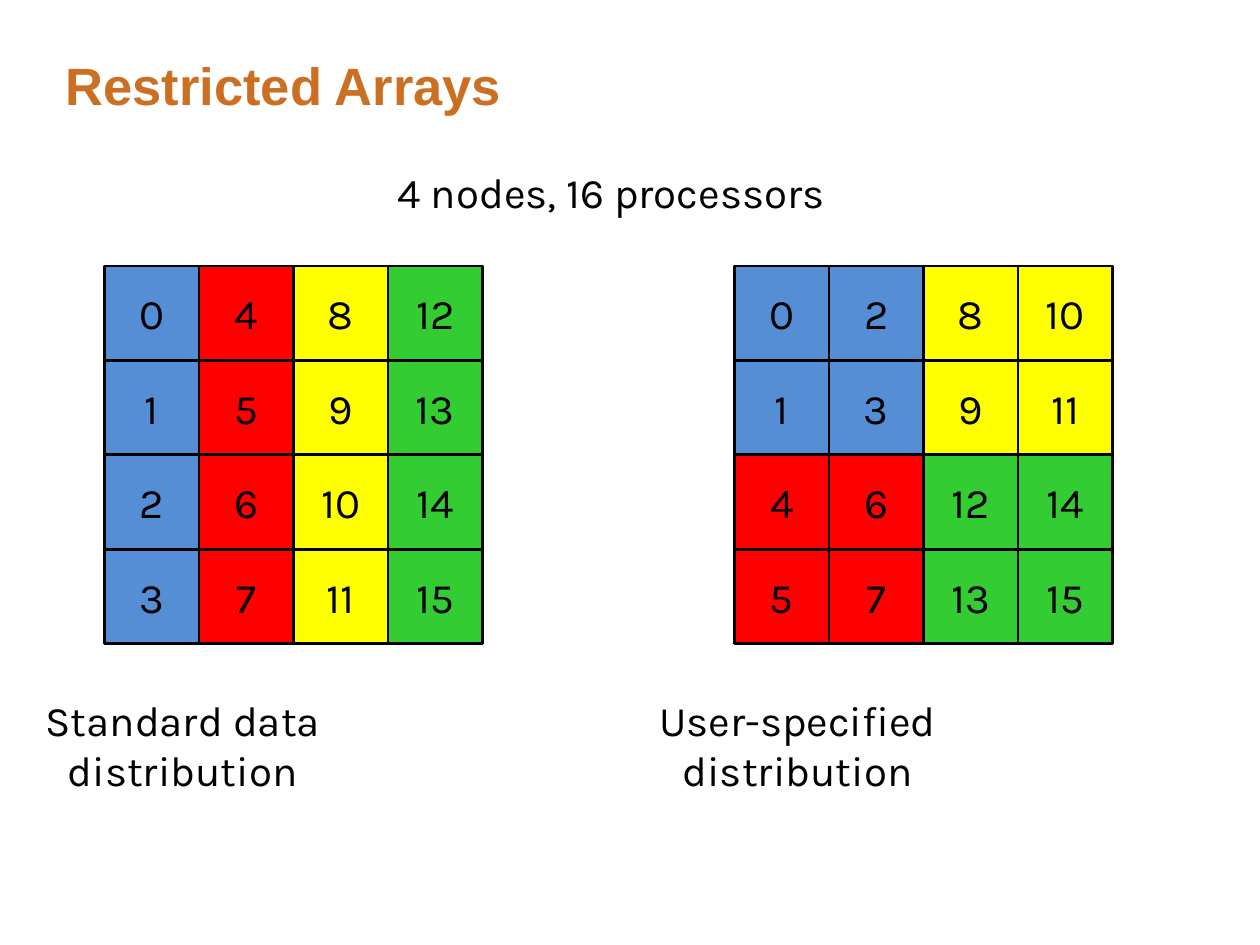
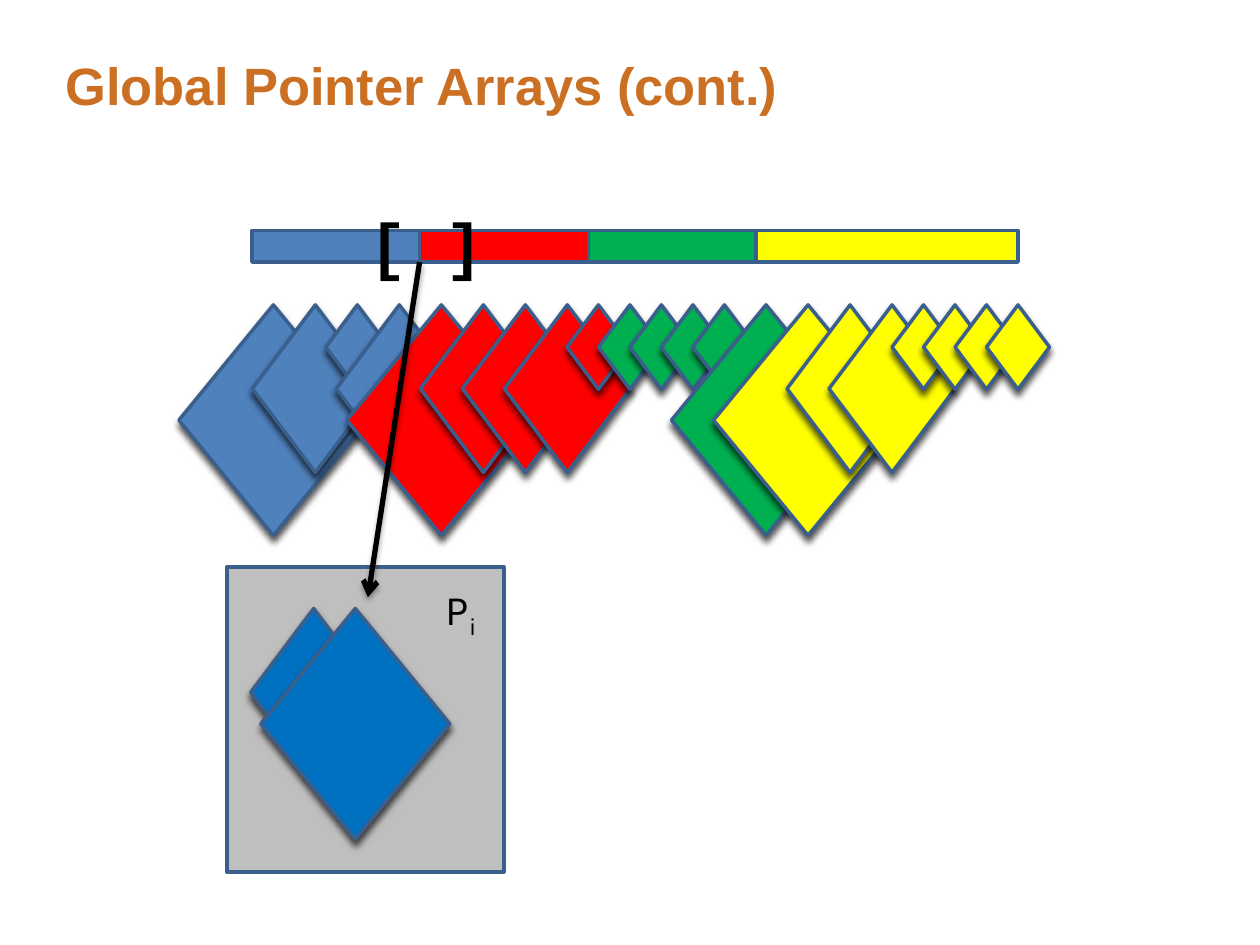
from pptx import Presentation
from pptx.dml.color import RGBColor as RGB
from pptx.enum.shapes import MSO_CONNECTOR as LINK, MSO_SHAPE as FORM
from pptx.enum.text import MSO_ANCHOR as ANCHOR, PP_ALIGN as ALIGN
from pptx.oxml import parse_xml
from pptx.oxml.ns import nsdecls
from pptx.util import Inches, Pt

HUES = {
    "title": "CB7023", "ink": "000000", "edge": "3A5F8C", "panel": "BFBFBF",
    "node0": "558ED5", "node1": "FF0000", "node2": "FFFF00", "node3": "33CC33",
    "B": "4F81BD", "R": "FF0000", "G": "00B050", "Y": "FFFF00", "local": "0070C0",
}
NONE = f'<a:effectLst {nsdecls("a")}/>'
SHADE = (f'<a:outerShdw {nsdecls("a")} blurRad="%d" dist="%d" dir="5400000" '
         'rotWithShape="0"><a:srgbClr val="000000"><a:alpha val="%d"/>'
         '</a:srgbClr></a:outerShdw>')


def write(shape, text, size=24, font="Karla", hue="ink", bold=False,
          align=ALIGN.CENTER, anchor=ANCHOR.TOP, pad=(0.2, 0.15), wrap=False, sub=""):
    frame = shape.text_frame
    frame.word_wrap = wrap
    frame.vertical_anchor = anchor
    frame.margin_left = frame.margin_right = Inches(pad[0])
    frame.margin_top = frame.margin_bottom = Inches(pad[1])
    para = frame.paragraphs[0]
    para.alignment = align
    for part in filter(None, (text, sub)):
        run = para.add_run()
        run.text = part
        run.font.size = Pt(size)
        run.font.name = font
        run.font.bold = bold
        run.font.color.rgb = RGB.from_string(HUES[hue])
    if sub:
        run.font._element.set("baseline", "-25000")
    return para


def draw(slide, form, at, hue, edge="edge", width=2, shade=False):
    shape = slide.shapes.add_shape(form, *map(Inches, at))
    shape.fill.solid()
    shape.fill.fore_color.rgb = RGB.from_string(HUES[hue])
    shape.line.color.rgb = RGB.from_string(HUES[edge])
    shape.line.width = Pt(width)
    shape.shadow.inherit = False
    if shade:
        shape.element.spPr[-1].append(parse_xml(SHADE % (Pt(4), Pt(3), 67000)))
    return shape


deck = Presentation()
deck.slide_width, deck.slide_height = Inches(10), Inches(7.5)
slides = []
for name in ("Restricted Arrays", "Global Pointer Arrays (cont.)"):
    slide = deck.slides.add_slide(deck.slide_layouts[5])
    title = slide.shapes.title
    title.left, title.top, title.width, title.height = map(Inches, (0.52, 0.5, 8.97, 1.08))
    para = write(title, name, size=30, font="Arial", hue="title", bold=True,
                 align=ALIGN.LEFT, pad=(0, 0), wrap=True)
    para.line_spacing = 0.85
    slides.append(slide)
grids, chain = slides

CELL, TOP, COUNT = 0.75, 2.11, 4
SIDE = CELL * COUNT
for left, block in ((0.83, False), (5.83, True)):
    rules = [(left + i * CELL, TOP, left + i * CELL, TOP + SIDE) for i in range(COUNT + 1)]
    rules += [(left, TOP + i * CELL, left + SIDE, TOP + i * CELL) for i in range(COUNT + 1)]
    for ends in rules:
        rule = grids.shapes.add_connector(LINK.STRAIGHT, *map(Inches, ends))
        rule.line.color.rgb = RGB.from_string(HUES["ink"])
        rule.line.width = Pt(1.5)
        rule.element.spPr.append(parse_xml(NONE))
    for col in range(COUNT):
        for row in range(COUNT):
            rank = col * COUNT + row
            if block:
                rank = (col // 2 * 2 + row // 2) * 4 + col % 2 * 2 + row % 2
            at = (left + col * CELL, TOP + row * CELL, CELL, CELL)
            cell = draw(grids, FORM.RECTANGLE, at, f"node{rank // 4}", "ink", 1.5)
            write(cell, str(rank), anchor=ANCHOR.MIDDLE)

for left, text in ((0.17, "Standard data distribution"), (5.05, "User-specified distribution")):
    label = grids.shapes.add_textbox(*map(Inches, (left, 5.36, 2.56, 1.1)))
    write(label, text, pad=(0.1, 0.15), wrap=True)
label = grids.shapes.add_textbox(*map(Inches, (2.95, 1.17, 3.8, 0.7)))
write(label, "4 nodes, 16 processors")

SIZES = {"L": (1.5, 1.83), "M": (1, 1.33), "S": (0.5, 0.67)}
draw(chain, FORM.RECTANGLE, (1.8, 4.5, 2.2, 2.42), "panel")
for start, gap, sizes, hues in (
    (2.17, 1 / 3, "LMSMLMMM", "BBBBRRRR"),
    (4.75, 1 / 4, "SSSSS", "RGGGG"),
    (6.08, 1 / 3, "LLMM", "GYYY"),
    (7.33, 1 / 4, "SSSS", "YYYY"),
):
    for i, (size, hue) in enumerate(zip(sizes, hues)):
        wide, high = SIZES[size]
        at = (start + i * gap - wide / 2, 2.42, wide, high)
        draw(chain, FORM.FLOWCHART_DECISION, at, hue, shade=True)

for left, wide, hue in ((2, 1.33, "B"), (3.33, 1.42, "R"), (4.67, 1.42, "G"), (6, 2.08, "Y")):
    draw(chain, FORM.RECTANGLE, (left, 1.83, wide, 0.25), hue)
label = chain.shapes.add_textbox(*map(Inches, (2.83, 1.58, 1.11, 0.71)))
write(label, "[ ]", size=36, font="Courier New", bold=True, pad=(0.1, 0.05))

for left, size in ((1.99, "M"), (2.07, "L")):
    draw(chain, FORM.FLOWCHART_DECISION, (left, 4.83, *SIZES[size]), "local", shade=True)

arrow = chain.shapes.add_connector(LINK.STRAIGHT, *map(Inches, (3.33, 2.08, 2.92, 4.74)))
arrow.line.color.rgb = RGB.from_string(HUES["ink"])
arrow.line.width = Pt(3)
arrow.line._get_or_add_ln().append(parse_xml(f'<a:tailEnd {nsdecls("a")} type="arrow"/>'))
glow = parse_xml(NONE)
glow.append(parse_xml(SHADE % (Pt(3.1), Pt(1.8), 35000)))
arrow.element.spPr.append(glow)

label = chain.shapes.add_textbox(*map(Inches, (3.42, 4.58, 0.48, 0.5)))
write(label, "P", sub="i", pad=(0.1, 0.05))

deck.save("out.pptx")
